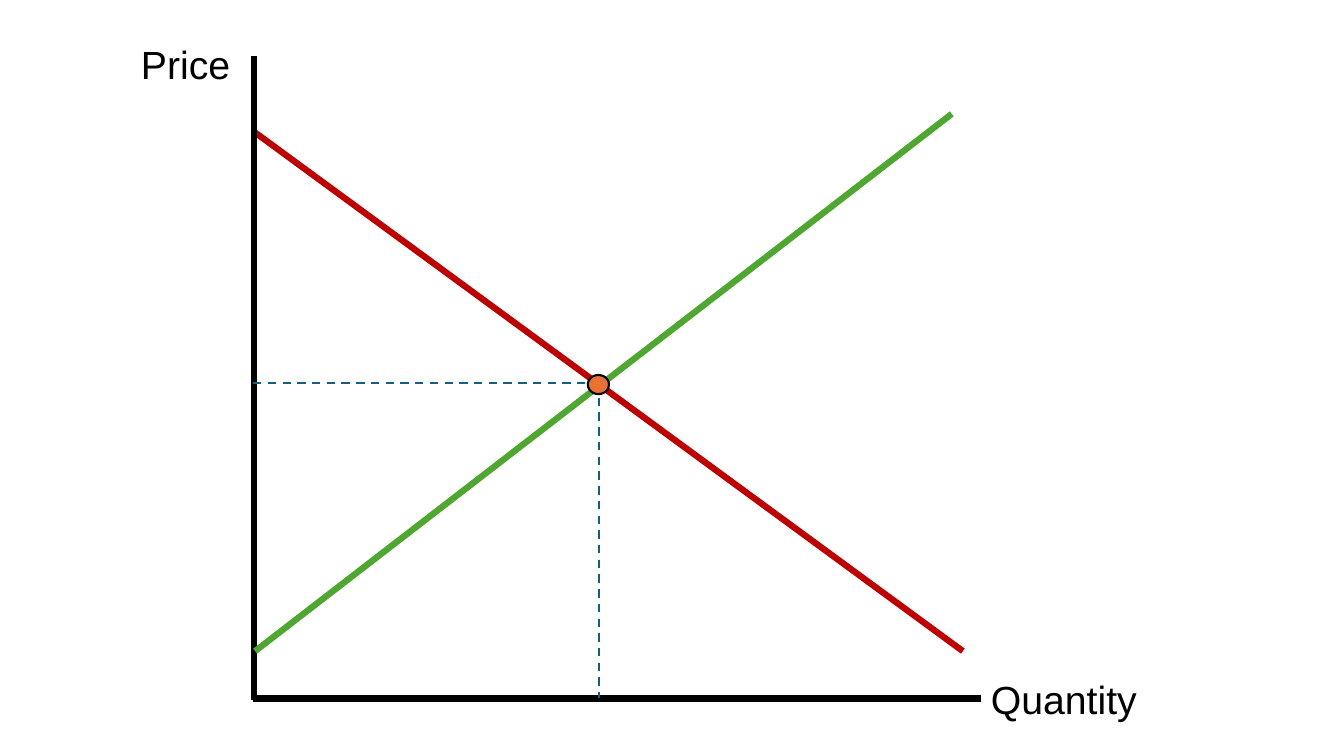
from lxml.etree import SubElement
from pptx import Presentation
from pptx.dml.color import RGBColor
from pptx.enum.dml import MSO_LINE
from pptx.enum.shapes import MSO_CONNECTOR, MSO_SHAPE
from pptx.enum.text import MSO_AUTO_SIZE
from pptx.oxml.ns import qn
from pptx.util import Inches, Pt

BLACK = "000000"
DEMAND_RED = "C00000"
SUPPLY_GREEN = "4EA72E"
GUIDE_BLUE = "156082"
POINT_ORANGE = "E97132"

ORIGIN_X, ORIGIN_Y = 2.52, 6.93
EQ_X, EQ_Y = 5.94, 3.8


def color(hex_code):
    return RGBColor.from_string(hex_code)


def add_line(slide, start, end, hex_code, width=4.5, dash=None):
    segment = slide.shapes.add_connector(
        MSO_CONNECTOR.STRAIGHT, *map(Inches, (*start, *end)))
    segment.line.color.rgb = color(hex_code)
    segment.line.width = Pt(width)
    if dash:
        segment.line.dash_style = dash
    SubElement(segment.element.spPr, qn("a:effectLst"))


def add_label(slide, wording, left, top, width):
    label = slide.shapes.add_textbox(
        *map(Inches, (left, top, width, 0.57)))
    frame = label.text_frame
    frame.text = wording
    frame.word_wrap = True
    frame.auto_size = MSO_AUTO_SIZE.SHAPE_TO_FIT_TEXT
    font = frame.paragraphs[0].runs[0].font
    font.name = "Arial"
    font.size = Pt(28)
    font.color.rgb = color(BLACK)


def add_point(slide, left, top, width, height):
    point = slide.shapes.add_shape(
        MSO_SHAPE.OVAL, *map(Inches, (left, top, width, height)))
    point.shadow.inherit = False
    point.fill.solid()
    point.fill.fore_color.rgb = color(POINT_ORANGE)
    point.line.color.rgb = color(BLACK)
    point.line.width = Pt(1.5)


def main():
    prs = Presentation()
    prs.slide_width, prs.slide_height = Inches(13.33), Inches(7.5)
    slide = prs.slides.add_slide(prs.slide_layouts[6])

    # Demand curve, behind the axes
    add_line(slide, (2.51, 1.3), (9.55, 6.46), DEMAND_RED)

    # Axes and their labels
    add_line(slide, (ORIGIN_X, 0.56), (ORIGIN_X, 6.94), BLACK)
    add_line(slide, (9.73, ORIGIN_Y), (2.51, ORIGIN_Y), BLACK)
    add_label(slide, "Price", 1.3, 0.35, 1.21)
    add_label(slide, "Quantity", 9.73, 6.65, 1.94)

    # Supply curve
    add_line(slide, (2.53, 6.46), (9.44, 1.13), SUPPLY_GREEN)

    # Dashed guides from the equilibrium to both axes
    for start, end in (((2.51, EQ_Y), (EQ_X, EQ_Y)),
                       ((EQ_X, EQ_Y), (EQ_X, 6.92))):
        add_line(slide, start, end, GUIDE_BLUE, 1.5, MSO_LINE.DASH)

    # Equilibrium point
    add_point(slide, 5.83, 3.72, 0.21, 0.19)

    prs.save("out.pptx")


if __name__ == "__main__":
    main()
